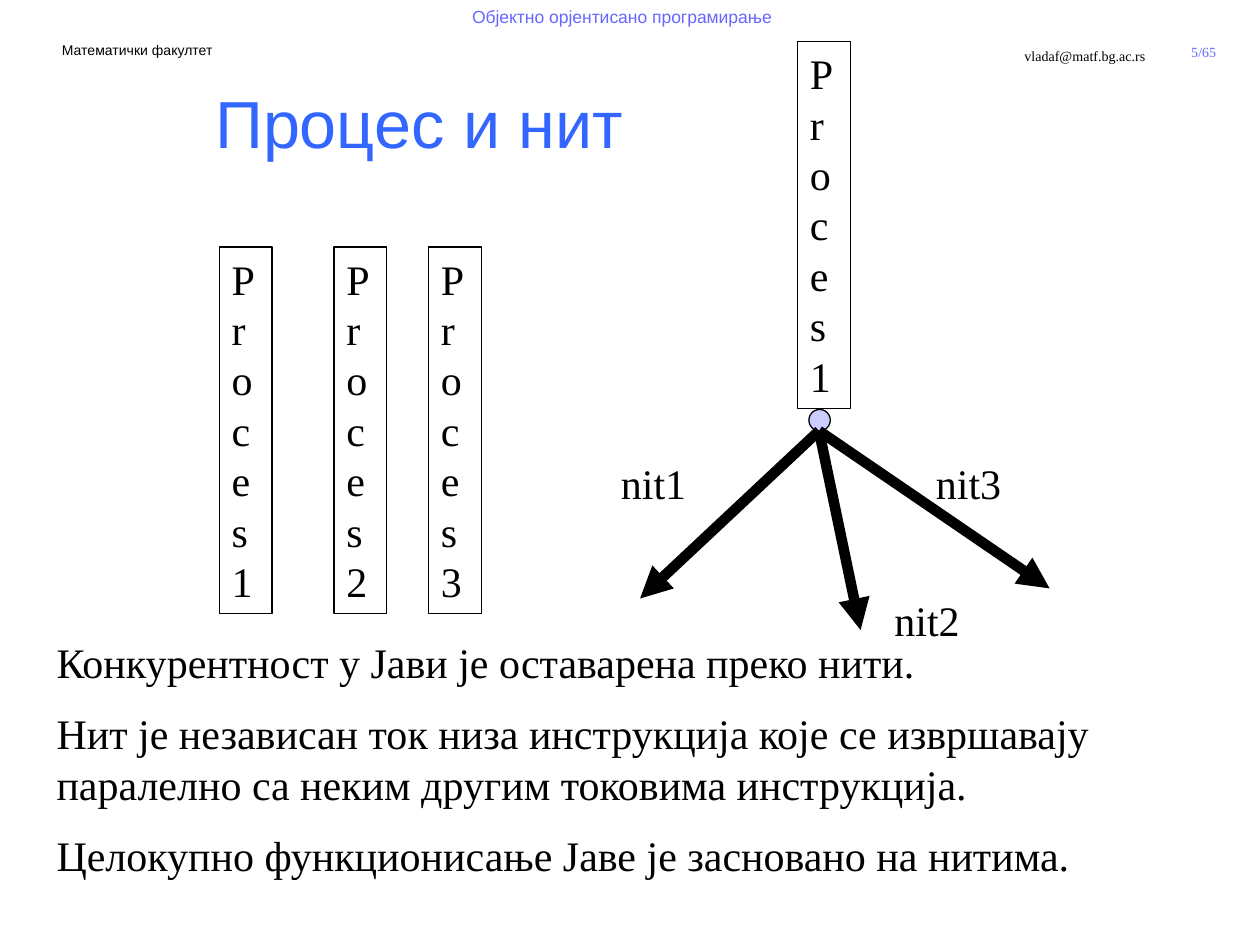
from dataclasses import dataclass

from lxml.etree import SubElement
from pptx import Presentation
from pptx.dml.color import RGBColor as RGB
from pptx.enum.shapes import MSO_CONNECTOR as Line, MSO_SHAPE as Shape
from pptx.enum.text import MSO_ANCHOR as Anchor, PP_ALIGN as Align
from pptx.oxml.ns import qn
from pptx.util import Inches, Pt


@dataclass(frozen=True)
class Theme:
    ink: RGB = RGB(0, 0, 0)
    head: RGB = RGB(0x33, 0x66, 0xFF)
    note: RGB = RGB(0x67, 0x67, 0xFF)
    dot: RGB = RGB(0xCC, 0xCC, 0xFF)
    serif: str = "Times New Roman"
    sans: str = "Arial"
    small: int = 8
    course: int = 10
    body: int = 24
    title: int = 38
    gap: int = 12
    thin: float = 0.75
    thick: int = 6


T = Theme()


def write(frame, lines, size=T.body, font=T.serif, color=T.ink,
          align=Align.LEFT, anchor=Anchor.TOP, wrap=True):
    frame.word_wrap = wrap
    frame.vertical_anchor = anchor
    for i, line in enumerate(lines):
        para = frame.add_paragraph() if i else frame.paragraphs[0]
        para.alignment = align
        if i:
            para.space_before = Pt(T.gap)
        run = para.add_run()
        run.text = line
        run.font.size = Pt(size)
        run.font.name = font
        run.font.color.rgb = color


def add_text(shapes, box, *lines, **style):
    area = shapes.add_textbox(*map(Inches, box))
    write(area.text_frame, lines, **style)


def add_block(shapes, kind, box, fill=None):
    """Add a thinly outlined shape, hollow unless a fill is given."""
    block = shapes.add_shape(kind, *map(Inches, box))
    block.shadow.inherit = False
    block.line.color.rgb = T.ink
    block.line.width = Pt(T.thin)
    if fill is None:
        block.fill.background()
    else:
        block.fill.solid()
        block.fill.fore_color.rgb = fill
    return block


def add_process(shapes, left, top, name):
    """Add a narrow box whose name wraps letter by letter."""
    block = add_block(shapes, Shape.RECTANGLE, (left, top, 0.42, 2.91))
    write(block.text_frame, [name])


def add_arrow(shapes, start, end):
    arrow = shapes.add_connector(Line.STRAIGHT, *map(Inches, start + end))
    arrow.line.color.rgb = T.ink
    arrow.line.width = Pt(T.thick)
    SubElement(arrow.line._get_or_add_ln(), qn("a:tailEnd"), type="triangle")
    SubElement(arrow._element.spPr, qn("a:effectLst"))


def add_header(shapes):
    add_text(shapes, (9.29, 0.3, 0.5, 0.23), " 5/65", size=T.small,
             color=T.note, align=Align.CENTER, anchor=Anchor.MIDDLE, wrap=False)
    add_text(shapes, (6.67, 0.33, 2.52, 0.5), "vladaf@matf.bg.ac.rs",
             size=T.small, align=Align.RIGHT)
    add_text(shapes, (0.38, 0.28, 1.42, 0.24), "Математички факултет",
             size=T.small, font=T.sans, align=Align.CENTER, wrap=False)
    add_text(shapes, (3.35, 0, 3.17, 0.5), "Објектно орјентисано програмирање",
             size=T.course, font=T.sans, color=T.note, align=Align.CENTER)


def add_threads(shapes):
    """Add one process with its three threads."""
    root = (6.5, 3.42)
    threads = [
        ("nit1", (5.08, 4.75), (4.83, 3.58, 1, 0.5)),
        ("nit2", (6.83, 5), (7, 4.67, 1.58, 0.5)),
        ("nit3", (8.33, 4.67), (7.33, 3.58, 1.33, 0.5)),
    ]
    add_process(shapes, 6.33, 0.33, "Proces1")
    for name, end, box in threads:
        add_arrow(shapes, root, end)
        add_text(shapes, box, name)


def main():
    deck = Presentation()
    deck.slide_width, deck.slide_height = Inches(10), Inches(7.5)
    shapes = deck.slides.add_slide(deck.slide_layouts[6]).shapes
    add_header(shapes)
    add_text(
        shapes, (0.35, 5, 9.65, 2.12),
        "Конкурентност у Јави је оставарена преко нити.",
        "Нит је независан ток низа инструкција које се извршавају "
        "паралелно са неким другим токовима инструкција.",
        "Целокупно функционисање Јаве је засновано на нитима.")
    add_block(shapes, Shape.OVAL, (6.42, 3.25, 0.17, 0.17), T.dot)
    row = shapes.add_group_shape().shapes
    for i, left in enumerate((1.74, 2.65, 3.4), 1):
        add_process(row, left, 1.96, f"Proces{i}")
    add_threads(shapes.add_group_shape().shapes)
    add_text(shapes, (1.61, 0.47, 8.39, 1), "Процес и нит", size=T.title,
             font=T.sans, color=T.head, anchor=Anchor.MIDDLE)
    deck.save("out.pptx")


if __name__ == "__main__":
    main()
